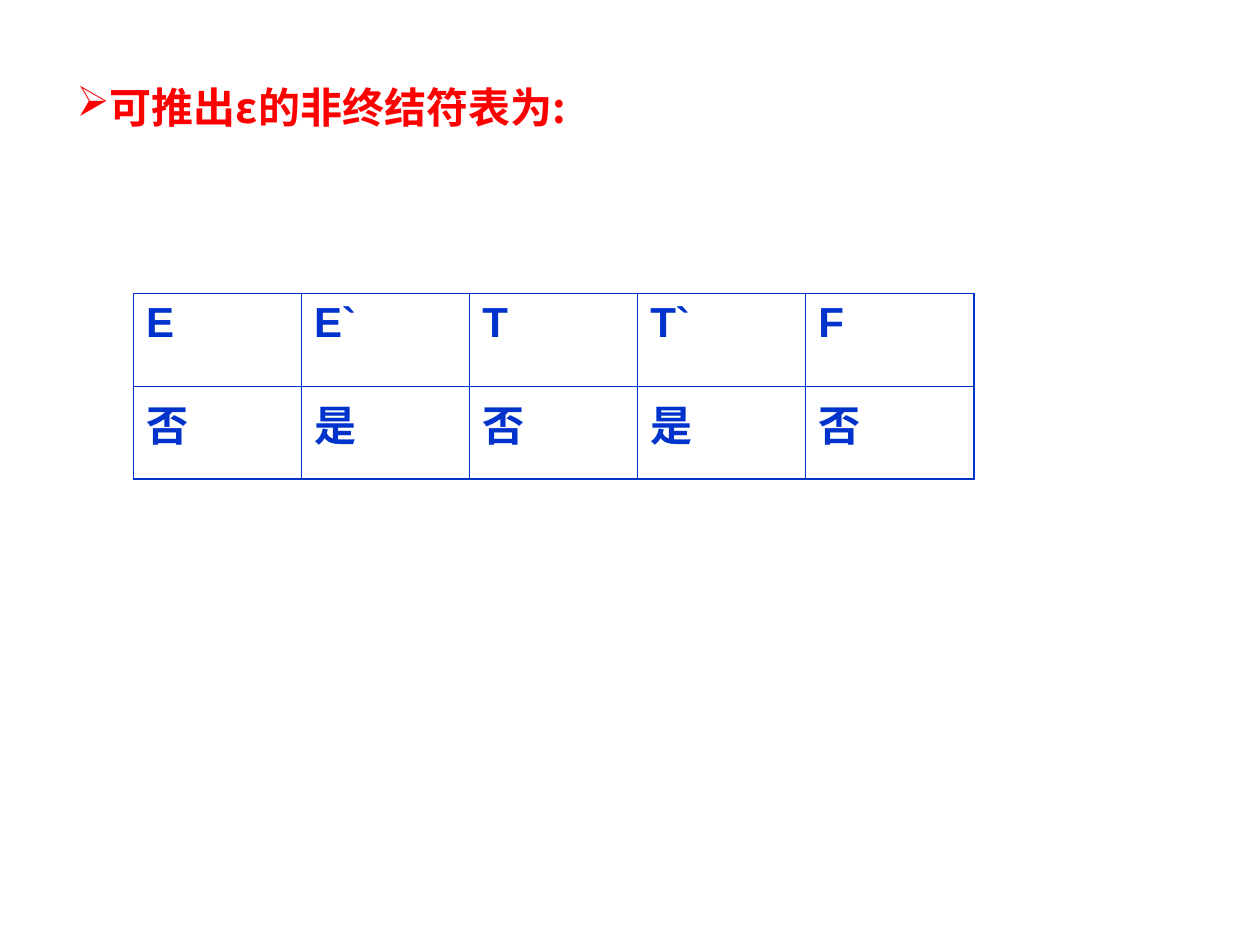
"""Build a slide tabulating which nonterminals can derive the empty string."""
import lxml.etree
import pptx
import pptx.dml.color
import pptx.enum.text
import pptx.oxml.ns
import pptx.util

RED = pptx.dml.color.RGBColor(0xFF, 0x00, 0x00)
BLUE = pptx.dml.color.RGBColor(0x00, 0x33, 0xCC)
SERIF, SANS, CJK = "Times New Roman", "Arial", "Noto Sans CJK SC"
TEXT_SIZE = pptx.util.Pt(24)
OUTER, INNER = pptx.util.Pt(1.08), pptx.util.Pt(0.45)

HEADING = [("可推出", SERIF), ("ε", CJK), ("的非终结符表为", SERIF), (":", CJK)]
BULLET = "➢"
ROWS = [
    ["E", "E`", "T", "T`", "F"],
    ["否", "是", "否", "是", "否"],
]
HEADING_BOX = (0.51, 0.6, 9, 0.5)
TABLE_BOX = (1.06, 2.33, 6.67, 1.47)


def add_child(parent, tag, **attributes):
    return lxml.etree.SubElement(parent, pptx.oxml.ns.qn(tag), attributes)


def style_span(span, font_name, color):
    span.font.size = TEXT_SIZE
    span.font.bold = True
    span.font.color.rgb = color
    span.font.name = font_name
    add_child(span.font._element, "a:ea", typeface=CJK)


def add_heading(slide):
    box = slide.shapes.add_textbox(*map(pptx.util.Inches, HEADING_BOX))
    frame = box.text_frame
    frame.word_wrap = True
    frame.auto_size = pptx.enum.text.MSO_AUTO_SIZE.SHAPE_TO_FIT_TEXT
    para = frame.paragraphs[0]
    properties = para._p.get_or_add_pPr()
    add_child(add_child(properties, "a:buClr"), "a:srgbClr", val=str(RED))
    add_child(properties, "a:buChar", char=BULLET)
    for text, font_name in HEADING:
        span = para.add_run()
        span.text = text
        style_span(span, font_name, RED)


def set_borders(cell, outer_sides):
    properties = cell._tc.get_or_add_tcPr()
    for side in "LRTB":
        width = OUTER if side in outer_sides else INNER
        line = add_child(properties, f"a:ln{side}", w=str(int(width)))
        add_child(add_child(line, "a:solidFill"), "a:srgbClr", val=str(BLUE))


def add_symbol_table(slide):
    row_count, column_count = len(ROWS), len(ROWS[0])
    place = map(pptx.util.Inches, TABLE_BOX)
    table = slide.shapes.add_table(row_count, column_count, *place).table
    table.first_row = table.horz_banding = False
    for row, texts in enumerate(ROWS):
        for column, text in enumerate(texts):
            cell = table.cell(row, column)
            cell.text_frame.text = text
            style_span(cell.text_frame.paragraphs[0].runs[0], SANS, BLUE)
            edges = {"L": column == 0, "R": column == column_count - 1,
                     "T": row == 0, "B": row == row_count - 1}
            set_borders(cell, [side for side, outer in edges.items() if outer])
            cell.fill.background()


def main():
    deck = pptx.Presentation()
    deck.slide_width = pptx.util.Inches(10)
    deck.slide_height = pptx.util.Inches(7.5)
    slide = deck.slides.add_slide(deck.slide_layouts[6])
    add_heading(slide)
    add_symbol_table(slide)
    deck.save("out.pptx")


if __name__ == "__main__":
    main()
